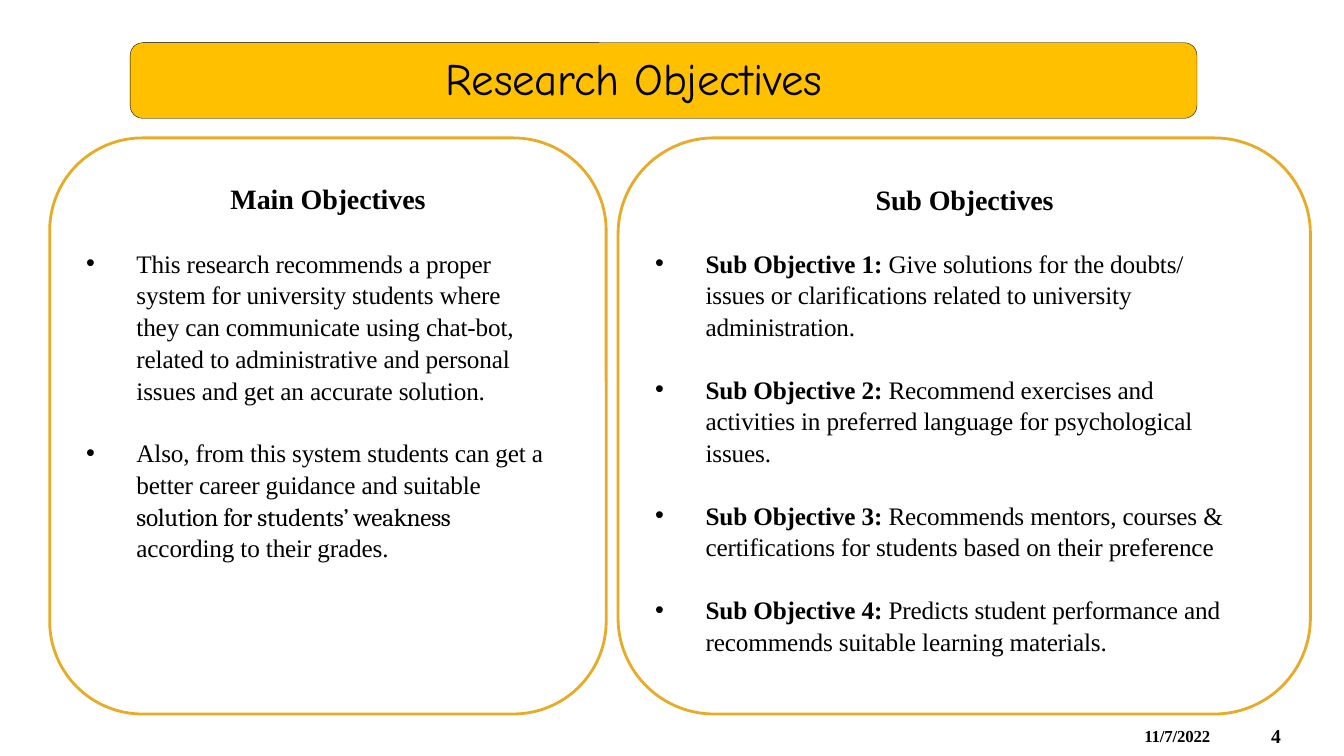
import pptx
import pptx.util
import pptx.oxml
from dataclasses import dataclass
from pptx.dml.color import RGBColor
from pptx.enum.shapes import MSO_SHAPE
from pptx.enum.text import MSO_ANCHOR, PP_ALIGN
from pptx.oxml.ns import qn

Pt = pptx.util.Pt

# Content: a run is (text, style); a newline is a line break
TITLE = "Research Objectives"
PANELS = [
    {
        "heading": "Main Objectives",
        "frame": (35.5, 98.5, 397.5, 411.5),
        "body": (61, 129, 335.5, 263.5),
        "heading_indent": 11,
        "points": [
            [("This research recommends a proper system for university students "
              "where\nthey can communicate using chat-bot, related to administrative "
              "and personal issues and get an accurate solution.", "plain")],
            [("Also, from this system students can get a better career guidance "
              "and suitable ", "plain"),
             ("solution for students’ weakness", "accent"),
             ("\naccording to their grades.", "plain")],
        ],
    },
    {
        "heading": "Sub Objectives",
        "frame": (441.5, 98.5, 494.5, 411.5),
        "body": (467.5, 129, 436.5, 328),
        "heading_indent": 6.5,
        "points": [
            [(f"Sub Objective {number}: ", "bold"), (goal, "plain")]
            for number, goal in enumerate([
                "Give solutions for the doubts/\nissues or clarifications related "
                "to university administration.",
                "Recommend exercises and\nactivities in preferred language for "
                "psychological\nissues.",
                "Recommends mentors, courses & certifications for students based "
                "on their preference",
                "Predicts student performance and recommends suitable learning "
                "materials.",
            ], start=1)
        ],
    },
]
BANNER = (93, 30.5, 762, 54)
TITLE_BOX = (317.5, 35.5, 313, 40)
FOOTERS = [("4", 14, (905, 516, 14.5, 19), 3), ("11/7/2022", 12, (816.5, 517.5, 64, 16), 1)]


@dataclass(frozen=True)
class Theme:
    ink: RGBColor = RGBColor(0, 0, 0)
    gold: RGBColor = RGBColor(0xFF, 0xC0, 0x00)
    outline: RGBColor = RGBColor(0xE6, 0xAC, 0x27)
    title_font: str = "Comic Neue"
    body_font: str = "Times New Roman"
    accent_font: str = "Cambria"
    title_size: float = 32
    heading_size: float = 20
    body_size: float = 18
    line_spacing: float = 1.05
    point_gap: float = 22
    point_indent: float = 36.5


THEME = Theme()


def box(place):
    return [Pt(length) for length in place]


def add_runs(paragraph, text, font, size, bold=False, tracking=-10):
    for index, line in enumerate(text.split("\n")):
        if index:
            paragraph.add_line_break()
        if not line:
            continue
        run = paragraph.add_run()
        run.text = line
        run.font.name, run.font.size, run.font.bold = font, Pt(size), bold
        run.font.color.rgb = THEME.ink
        run.font._element.set("spc", str(tracking))


def indent(paragraph, left, first=0):
    properties = paragraph._p.get_or_add_pPr()
    properties.set("marL", str(Pt(left)))
    properties.set("indent", str(Pt(first)))
    return properties


def add_bullet(paragraph):
    properties = indent(paragraph, THEME.point_indent, -36)
    for tag, key, value in (("a:buFont", "typeface", "Arial"), ("a:buChar", "char", "•")):
        properties.append(properties.makeelement(qn(tag), {key: value}))


def clear_margins(frame):
    frame.margin_left = frame.margin_right = frame.margin_bottom = 0
    frame.margin_top = Pt(1)
    frame.vertical_anchor = MSO_ANCHOR.TOP
    frame.word_wrap = True
    return frame


def add_text(slide, place):
    return clear_margins(slide.shapes.add_textbox(*box(place)).text_frame)


def add_rounded(slide, place, line, width, fill=None):
    shape = slide.shapes.add_shape(MSO_SHAPE.ROUNDED_RECTANGLE, *box(place))
    shape.shadow.inherit = False
    if fill is None:
        shape.fill.background()
    else:
        shape.fill.solid()
        shape.fill.fore_color.rgb = fill
    shape.line.color.rgb = line
    shape.line.width = Pt(width)


def add_panel(slide, panel):
    add_rounded(slide, panel["frame"], THEME.outline, 2)
    body = add_text(slide, panel["body"])
    heading = body.paragraphs[0]
    heading.alignment = PP_ALIGN.CENTER
    heading.space_before = Pt(1)
    indent(heading, panel["heading_indent"])
    add_runs(heading, panel["heading"], THEME.body_font, THEME.heading_size, True)
    for point in panel["points"]:
        paragraph = body.add_paragraph()
        paragraph.alignment = PP_ALIGN.LEFT
        paragraph.line_spacing = THEME.line_spacing
        paragraph.space_before = Pt(THEME.point_gap)
        add_bullet(paragraph)
        for text, style in point:
            accent = style == "accent"
            add_runs(paragraph, text, THEME.accent_font if accent else THEME.body_font,
                     THEME.body_size, style == "bold", -20 if accent else -10)


def main():
    deck = pptx.Presentation()
    deck.slide_width, deck.slide_height = Pt(960), Pt(540)
    slide = deck.slides.add_slide(deck.slide_layouts[5])

    # Banner, with the title raised above it
    add_rounded(slide, BANNER, THEME.ink, 0.25, THEME.gold)
    title = slide.shapes.title
    slide.shapes._spTree.append(title._element)
    title.left, title.top, title.width, title.height = box(TITLE_BOX)
    heading = clear_margins(title.text_frame).paragraphs[0]
    heading.alignment = PP_ALIGN.LEFT
    heading.space_before = Pt(1)
    indent(heading, 1)
    add_runs(heading, TITLE, THEME.title_font, THEME.title_size)

    # Objective panels
    for panel in PANELS:
        add_panel(slide, panel)

    # Page number and date
    for text, size, place, left in FOOTERS:
        footer = add_text(slide, place).paragraphs[0]
        indent(footer, left)
        add_runs(footer, text, THEME.body_font, size, True)

    deck.save("out.pptx")


if __name__ == "__main__":
    main()
